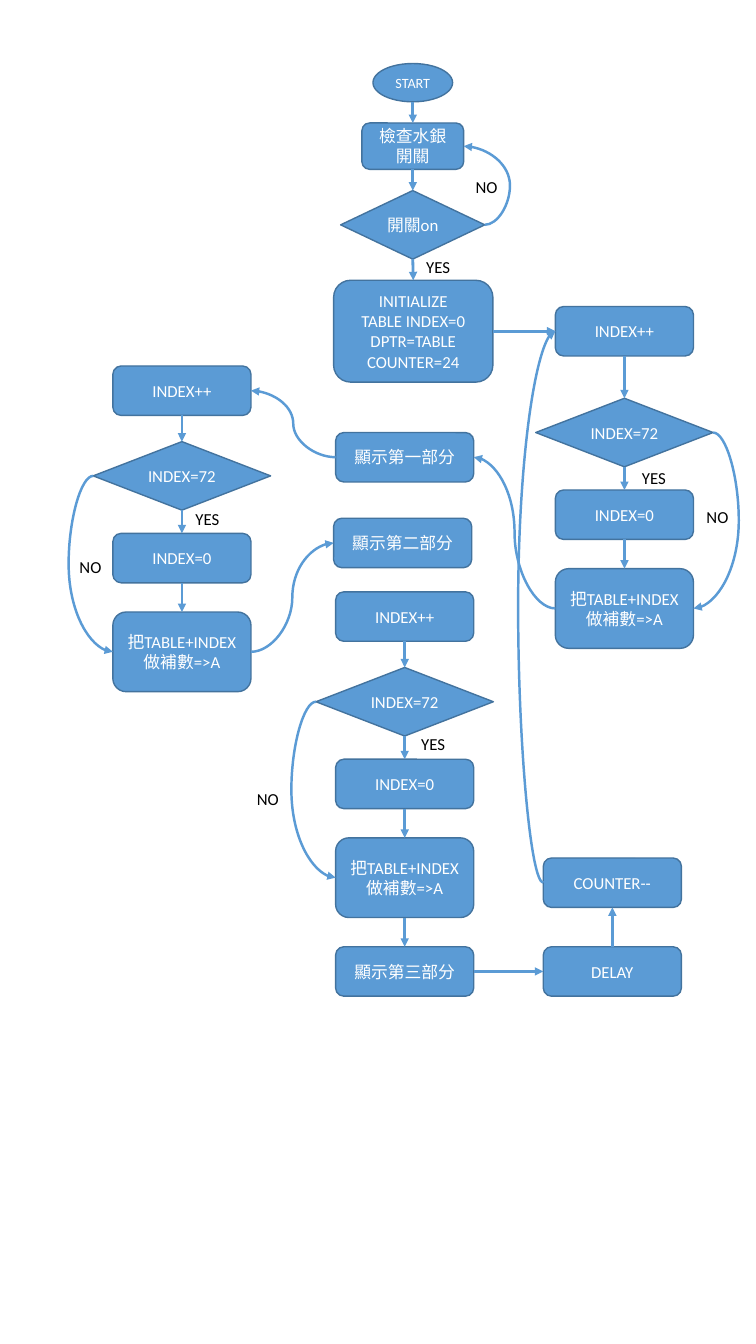
from lxml import etree
from pptx import Presentation
from pptx import util as u
from pptx.dml.color import RGBColor
from pptx.enum import shapes, text
from pptx.oxml.ns import qn

COLORS = {"node": "5B9BD5", "border": "43739E", "node_text": "FFFFFF", "label": "000000"}
FONT = "Calibri"
TOP, LEFT, BOTTOM, RIGHT = range(4)
STEP_W, STEP_H = 1.37, 0.49
DECISION_W, DECISION_H = 1.76, 0.68
NEGATE_H = 0.79
SHAPE = shapes.MSO_SHAPE


def color(name):
    return RGBColor.from_string(COLORS[name])


def write(frame, lines, size, ink, align):
    frame.word_wrap = True
    frame.text = "\n".join(lines)
    for paragraph in frame.paragraphs:
        paragraph.alignment = align
        paragraph.font.name = FONT
        paragraph.font.size = u.Pt(size)
        paragraph.font.color.rgb = color(ink)


def add_node(slide, kind, x, y, w, h, *lines, size=12):
    node = slide.shapes.add_shape(kind, *map(u.Inches, (x, y, w, h)))
    node.shadow.inherit = False
    node.fill.solid()
    node.fill.fore_color.rgb = color("node")
    node.line.color.rgb = color("border")
    node.line.width = u.Pt(1)
    node.text_frame.vertical_anchor = text.MSO_ANCHOR.MIDDLE
    write(node.text_frame, lines, size, "node_text", text.PP_ALIGN.CENTER)
    return node


def add_step(slide, x, y, *lines, h=STEP_H):
    return add_node(slide, SHAPE.ROUNDED_RECTANGLE, x, y, STEP_W, h, *lines)


def add_label(slide, x, y, answer):
    label = slide.shapes.add_textbox(*map(u.Inches, (x, y, 0.48, 0.3)))
    write(label.text_frame, [answer], 12, "label", text.PP_ALIGN.LEFT)
    label.text_frame.auto_size = text.MSO_AUTO_SIZE.SHAPE_TO_FIT_TEXT


def site_point(node, site):
    across = {LEFT: 0, RIGHT: node.width}.get(site, node.width // 2)
    down = {TOP: 0, BOTTOM: node.height}.get(site, node.height // 2)
    return node.left + across, node.top + down


def connect(slide, source, source_site, target, target_site, curved=False, bend=None):
    start, end = site_point(source, source_site), site_point(target, target_site)
    kind = shapes.MSO_CONNECTOR.CURVE if curved else shapes.MSO_CONNECTOR.STRAIGHT
    arrow = slide.shapes.add_connector(kind, *start, *end)
    if source.auto_shape_type != SHAPE.OVAL:
        arrow.begin_connect(source, source_site)
    arrow.end_connect(target, target_site)
    arrow.line.color.rgb = color("node")
    arrow.line.width = u.Pt(1.75 if curved else 2)
    properties = arrow.element.spPr
    if bend is not None:
        ratio = (u.Inches(bend) - start[0]) / (end[0] - start[0])
        guides = properties.find(qn("a:prstGeom")).find(qn("a:avLst"))
        etree.SubElement(guides, qn("a:gd"), name="adj1", fmla=f"val {round(ratio * 100000)}")
    etree.SubElement(properties.find(qn("a:ln")), qn("a:tailEnd"), type="triangle")
    etree.SubElement(properties, qn("a:effectLst"))


def connect_down(slide, *nodes):
    for upper, lower in zip(nodes, nodes[1:]):
        connect(slide, upper, BOTTOM, lower, TOP)


def add_index_routine(slide, x, increment_y, check_y, loop_side, loop_x):
    increment = add_step(slide, x, increment_y, "INDEX++")
    check = add_node(slide, SHAPE.FLOWCHART_DECISION, x - (DECISION_W - STEP_W) / 2, check_y,
                     DECISION_W, DECISION_H, "INDEX=72")
    reset = add_step(slide, x, check_y + 0.91, "INDEX=0")
    negate = add_step(slide, x, check_y + 1.69, "把TABLE+INDEX", "做補數=>A", h=NEGATE_H)
    connect_down(slide, increment, check, reset, negate)
    connect(slide, check, loop_side, negate, loop_side, curved=True, bend=loop_x)
    return increment, negate


def main():
    deck = Presentation()
    deck.slide_width, deck.slide_height = u.Inches(7.5), u.Inches(13.33)
    slide = deck.slides.add_slide(deck.slide_layouts[6])

    start = add_node(slide, SHAPE.OVAL, 3.7, 0.63, 0.79, 0.38, "START", size=10.1)
    frame = start.text_frame
    frame.margin_left = frame.margin_right = u.Inches(0.06)
    frame.margin_top = frame.margin_bottom = u.Inches(0.03)
    check_switch = add_node(slide, SHAPE.ROUNDED_RECTANGLE, 3.59, 1.22, 1.01, 0.46, "檢查水銀開關")
    switch_on = add_node(slide, SHAPE.FLOWCHART_DECISION, 3.38, 1.89, 1.43, 0.68, "開關on")
    initialize = add_node(slide, SHAPE.ROUNDED_RECTANGLE, 3.31, 2.78, 1.58, 1.01,
                          "INITIALIZE", "TABLE INDEX=0", "DPTR=TABLE", "COUNTER=24")
    connect_down(slide, start, check_switch, switch_on, initialize)
    connect(slide, switch_on, RIGHT, check_switch, RIGHT, curved=True, bend=5.06)

    show_first = add_step(slide, 3.33, 4.29, "顯示第一部分")
    show_second = add_step(slide, 3.31, 5.14, "顯示第二部分")
    show_third = add_step(slide, 3.33, 9.39, "顯示第三部分")
    delay = add_step(slide, 5.39, 9.39, "DELAY")
    counter = add_step(slide, 5.39, 8.51, "COUNTER--")

    first_increment, first_negate = add_index_routine(slide, 5.51, 3.04, 3.95, RIGHT, 7.33)
    second_increment, second_negate = add_index_routine(slide, 1.12, 3.63, 4.38, LEFT, 0.68)
    _, third_negate = add_index_routine(slide, 3.33, 5.87, 6.62, LEFT, 2.89)

    connect(slide, initialize, RIGHT, first_increment, LEFT)
    connect(slide, first_negate, LEFT, show_first, RIGHT, curved=True)
    connect(slide, show_first, LEFT, second_increment, RIGHT, curved=True)
    connect(slide, second_negate, RIGHT, show_second, LEFT, curved=True)
    connect_down(slide, third_negate, show_third)
    connect(slide, show_third, RIGHT, delay, LEFT)
    connect(slide, delay, TOP, counter, BOTTOM)
    connect(slide, counter, LEFT, first_increment, LEFT, curved=True, bend=5.14)

    answers = {
        "YES": [(6.27, 4.59), (1.84, 5), (4.08, 7.23), (4.13, 2.5)],
        "NO": [(4.62, 1.7), (0.69, 5.47), (6.91, 4.98), (2.45, 7.77)],
    }
    for answer, places in answers.items():
        for x, y in places:
            add_label(slide, x, y, answer)

    deck.save("out.pptx")


if __name__ == "__main__":
    main()
